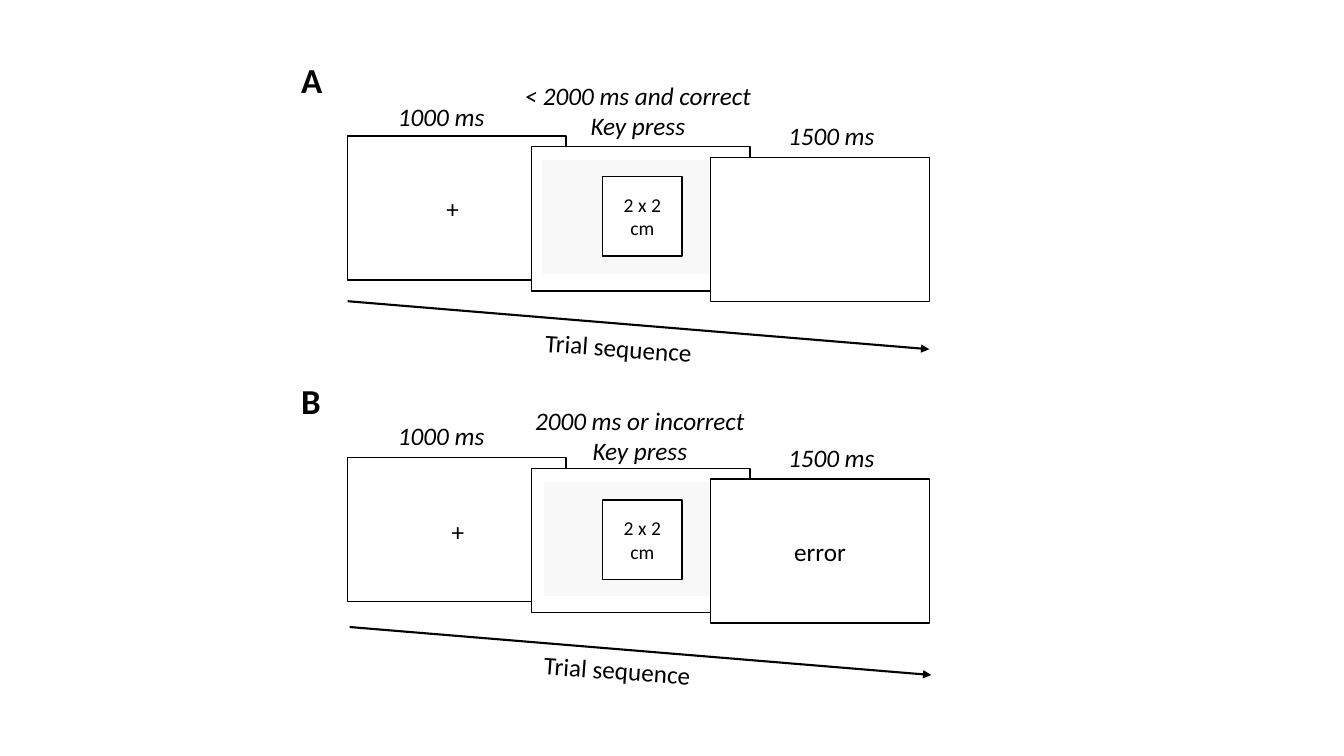
import dataclasses

import pptx
import pptx.dml.color
import pptx.enum.dml
import pptx.enum.shapes
import pptx.enum.text
import pptx.oxml
import pptx.oxml.ns
import pptx.util

Cm = pptx.util.Cm
Pt = pptx.util.Pt
ALIGN = pptx.enum.text.PP_ALIGN


@dataclasses.dataclass(frozen=True)
class Theme:
    """Colours, font and sizes shared by the whole slide."""

    ink: str = "000000"
    paper: str = "FFFFFF"
    screen: str = "F8F8F8"
    font: str = "Calibri"
    letter: int = 25
    body: int = 18
    small: int = 14
    outline: float = 1
    arrow: float = 1.5


@dataclasses.dataclass(frozen=True)
class Panel:
    """Wording of one trial sequence and its positions in centimetres."""

    letter: str
    top: float
    condition: str
    feedback: str
    cross: tuple
    fixation_rise: float
    condition_left: float
    condition_rise: float
    screen_left: float
    target_drop: float
    arrow: tuple
    sequence: tuple


THEME = Theme()
FRAME_LEFTS = (8.76, 13.39, 17.91)
FRAME_STEP = 0.27
FRAME_SIZE = (5.51, 3.63)
DURATION_SIZE = (2.87, 1.02)
PANELS = (
    Panel("A", 3.43, "< 2000 ms and correct", "", (11, 1.32), 0.99,
          12.24, 1.53, 13.67, 1.02, (8.76, 4.16), (13.49, 4.82)),
    Panel("B", 11.53, "2000 ms or incorrect", "error", (11.13, 1.35), 1.07,
          12.29, 1.45, 13.72, 1.07, (8.81, 4.27), (13.46, 4.85)),
)


def colour(value):
    """Turn a hex string into a colour."""
    return pptx.dml.color.RGBColor.from_string(value)


def set_values(target, values):
    """Set each named attribute of the target."""
    for name, value in values.items():
        setattr(target, name, value)


def write(frame, lines, size, align, **style):
    """Write the lines as paragraphs in one style."""
    for index, line in enumerate(lines):
        para = frame.add_paragraph() if index else frame.paragraphs[0]
        para.alignment = align
        span = para.add_run()
        span.text = line
        set_values(span.font, {"name": THEME.font, "size": Pt(size), **style})
        span.font.color.rgb = colour(THEME.ink)


def add_label(page, place, size, lines, points=THEME.body, align=ALIGN.LEFT, rotation=0, **style):
    """Add a text box."""
    box = page.shapes.add_textbox(*map(Cm, place + size))
    box.rotation = rotation
    set_values(box.text_frame, {
        "word_wrap": True,
        "auto_size": pptx.enum.text.MSO_AUTO_SIZE.SHAPE_TO_FIT_TEXT,
    })
    write(box.text_frame, lines, points, align, **style)


def add_box(page, place, size, fill=THEME.paper, line=THEME.ink, text="", points=THEME.body):
    """Add an outlined rectangle with optional centred text."""
    kind = pptx.enum.shapes.MSO_SHAPE.RECTANGLE
    box = page.shapes.add_shape(kind, *map(Cm, place + size))
    box.shadow.inherit = False
    box.fill.solid()
    box.fill.fore_color.rgb = colour(fill)
    box.line.color.rgb = colour(line)
    box.line.width = Pt(THEME.outline)
    if text:
        set_values(box.text_frame, {
            "word_wrap": True,
            "vertical_anchor": pptx.enum.text.MSO_ANCHOR.MIDDLE,
        })
        write(box.text_frame, [text], points, ALIGN.CENTER)


def add_arrow(page, start, end):
    """Add a straight line with an arrowhead at its end."""
    kind = pptx.enum.shapes.MSO_CONNECTOR.STRAIGHT
    arrow = page.shapes.add_connector(kind, *map(Cm, start + end))
    arrow.line.color.rgb = colour(THEME.ink)
    arrow.line.width = Pt(THEME.arrow)
    head = pptx.oxml.parse_xml(
        f'<a:tailEnd {pptx.oxml.ns.nsdecls("a")} type="triangle"/>')
    arrow.line._get_or_add_ln().append(head)
    effects = pptx.oxml.parse_xml(f'<a:effectLst {pptx.oxml.ns.nsdecls("a")}/>')
    arrow._element.spPr.append(effects)


def add_panel(page, panel):
    """Add one lettered trial sequence with its three frames."""
    def below(left, drop):
        """Give a place measured from the top of the panel."""
        return left, panel.top + drop

    fixation, stimulus, feedback = (
        below(left, index * FRAME_STEP) for index, left in enumerate(FRAME_LEFTS))
    add_label(page, below(7.34, -2.08), (1.63, 1.32), [panel.letter], THEME.letter, bold=True)
    add_box(page, fixation, FRAME_SIZE)
    add_box(page, stimulus, FRAME_SIZE)
    add_label(page, below(*panel.cross), (0.74, 1.02), ["+"])
    add_label(page, below(9.78, -panel.fixation_rise), DURATION_SIZE, ["1000 ms"], italic=True)
    add_label(page, below(panel.condition_left, -panel.condition_rise), (7.67, 1.8),
              [panel.condition, "Key press"], align=ALIGN.CENTER, italic=True)
    add_label(page, below(19.61, -0.52), DURATION_SIZE, ["1500 ms"], italic=True)
    add_box(page, below(panel.screen_left, 0.63), (4.83, 2.84), THEME.screen, THEME.screen)
    add_box(page, feedback, FRAME_SIZE, text=panel.feedback)
    add_box(page, below(15.19, panel.target_drop), (2, 2), text="2 x 2 cm", points=THEME.small)
    left, drop = panel.arrow
    add_arrow(page, below(left, drop), below(left + 14.66, drop + 1.21))
    add_label(page, below(*panel.sequence), (4.29, 1.02), ["Trial sequence"], rotation=4.1)


def main():
    """Build the slide and save it."""
    deck = pptx.Presentation()
    set_values(deck, {"slide_width": Cm(33.87), "slide_height": Cm(19.05)})
    page = deck.slides.add_slide(deck.slide_layouts[6])
    for panel in PANELS:
        add_panel(page, panel)
    deck.save("out.pptx")


main()
